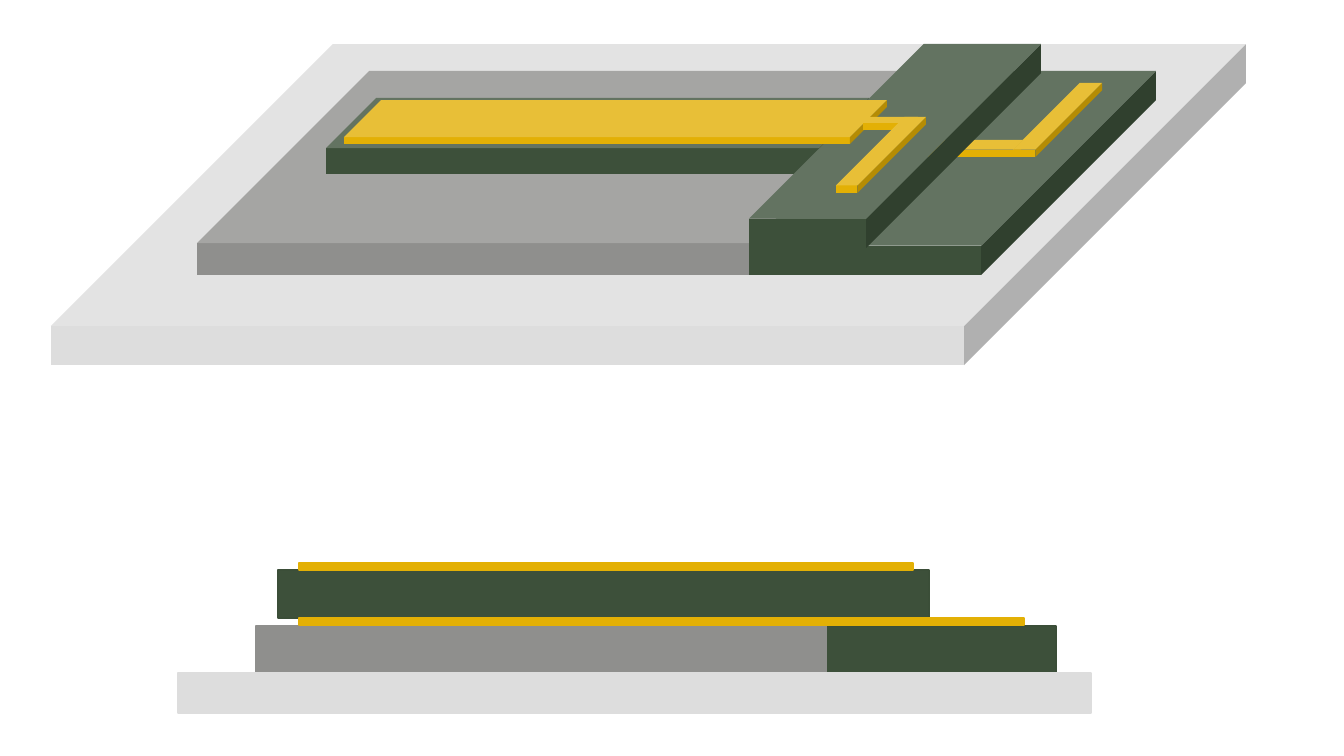
"""Draw a layered cantilever device in oblique view and in side view."""
from dataclasses import dataclass

from pptx import Presentation
from pptx.dml.color import RGBColor
from pptx.enum.shapes import MSO_SHAPE
from pptx.util import Pt

CUBE = MSO_SHAPE.CUBE
RECTANGLE = MSO_SHAPE.RECTANGLE
SLIDE_W, SLIDE_H = 1344, 756
EMU_PER_PX = 12192000 / SLIDE_W
BLANK_LAYOUT = 6


@dataclass(frozen=True)
class Theme:
    """Colours and line width of the device's materials."""
    base: str = "DDDDDD"
    spacer: str = "8F8F8D"
    beam: str = "3D503A"
    beam_edge: str = "3B4E38"
    electrode: str = "E3B005"
    edge_pt: int = 1


THEME = Theme()


def px(length):
    """Turn pixels into EMU."""
    return round(length * EMU_PER_PX)


def add_solid(shapes, preset, box, color):
    """Add a filled preset shape without shadow."""
    solid = shapes.add_shape(preset, *map(px, box))
    solid.shadow.inherit = False
    solid.fill.solid()
    solid.fill.fore_color.rgb = RGBColor.from_string(color)
    return solid


def add_block(shapes, box, depth, color):
    """Add an oblique block whose depth is a share of its shorter side."""
    block = add_solid(shapes, CUBE, box, color)
    block.adjustments[0] = depth
    block.line.fill.background()


def add_layer(shapes, box, color, edge):
    """Add one flat layer of the side view."""
    layer = add_solid(shapes, RECTANGLE, box, color)
    layer.line.color.rgb = RGBColor.from_string(edge)
    layer.line.width = Pt(THEME.edge_pt)


def add_block_group(shapes, color, blocks):
    """Group blocks of one material, from back to front."""
    group = shapes.add_group_shape()
    for box, depth in blocks:
        add_block(group.shapes, box, depth, color)


def draw_side_view(shapes):
    """Draw the stacked layers seen from the side."""
    section = shapes.add_group_shape().shapes
    add_layer(section, (826, 626, 230, 47), THEME.beam, THEME.beam_edge)
    add_layer(section, (278, 570, 651, 48), THEME.beam, THEME.beam_edge)
    add_layer(section, (256, 626, 570, 47), THEME.spacer, THEME.spacer)
    add_layer(section, (178, 673, 913, 40), THEME.base, THEME.base)
    for top, width in ((618, 725), (563, 614)):
        add_layer(section, (299, top, width, 7), THEME.electrode, THEME.electrode)


def draw_oblique_view(shapes):
    """Draw the device in oblique view, from the base upwards."""
    add_block(shapes, (51, 44, 1195, 321), 0.878, THEME.base)
    add_block(shapes, (197, 71, 741, 204), 0.844, THEME.spacer)
    add_block(shapes, (749, 71, 407, 204), 0.857, THEME.beam)
    add_block_group(shapes, THEME.electrode, [
        ((326, 124, 613, 49), 0.844),
        ((911, 140, 112, 17), 0.564),
        ((1013, 83, 89, 74), 0.901),
    ])
    add_block_group(shapes, THEME.beam, [
        ((326, 98, 543, 76), 0.659),
        ((749, 44, 292, 204), 0.857),
    ])
    add_block_group(shapes, THEME.electrode, [
        ((344, 100, 543, 44), 0.844),
        ((863, 117, 55, 13), 0.463),
        ((836, 117, 90, 76), 0.901),
    ])


def main():
    """Build the slide and save it."""
    deck = Presentation()
    deck.slide_width, deck.slide_height = px(SLIDE_W), px(SLIDE_H)
    slide = deck.slides.add_slide(deck.slide_layouts[BLANK_LAYOUT])
    draw_oblique_view(slide.shapes)
    draw_side_view(slide.shapes)
    deck.save("out.pptx")


if __name__ == "__main__":
    main()
